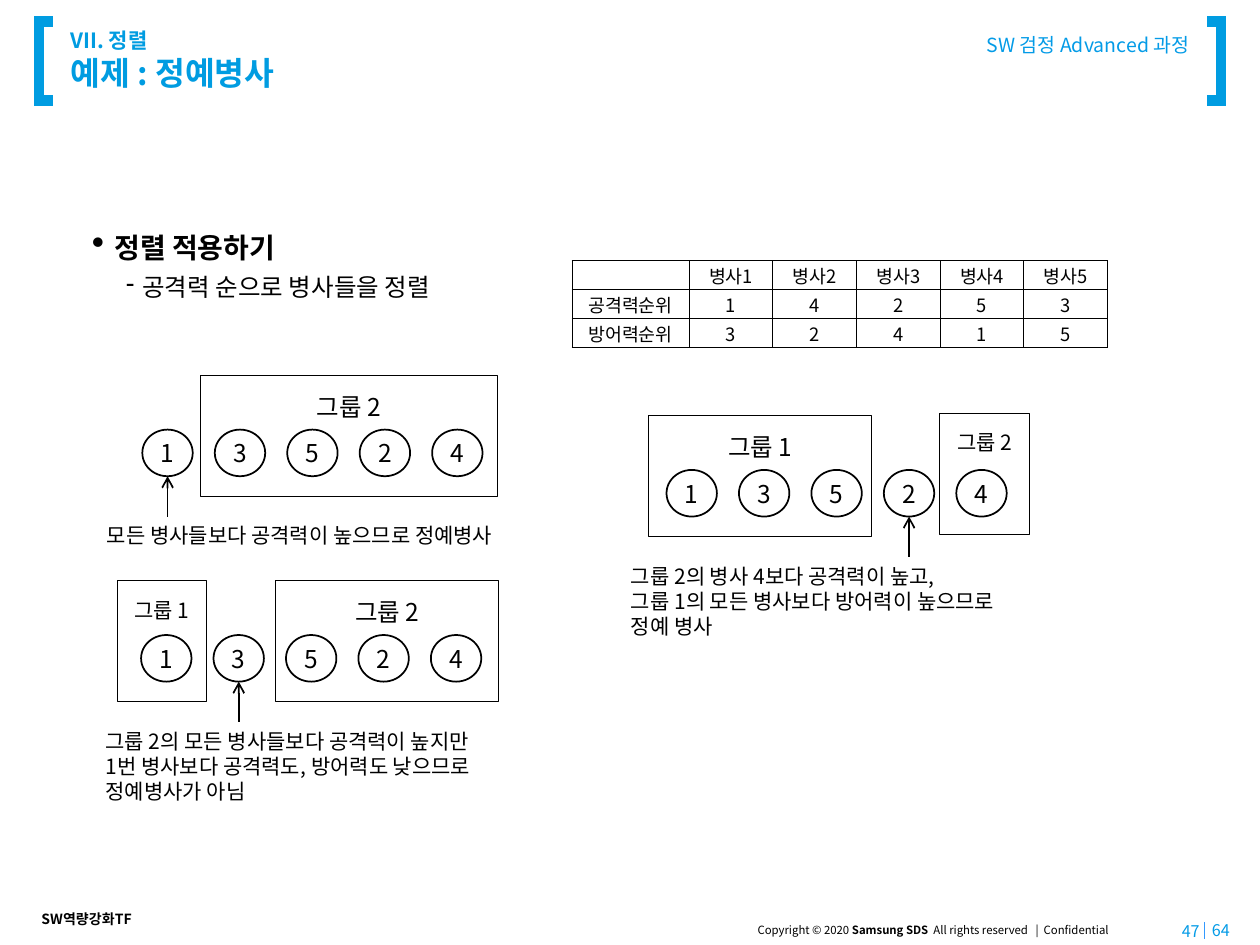
from lxml.etree import SubElement
from pptx import Presentation
from pptx.dml.color import RGBColor
from pptx.enum.shapes import MSO_CONNECTOR, MSO_SHAPE
from pptx.enum.text import MSO_ANCHOR, PP_ALIGN
from pptx.oxml.ns import qn
from pptx.util import Inches, Pt

THEME = {
    "font": "Noto Sans CJK KR",
    "ink": "000000", "paper": "FFFFFF", "brand": "009CE1", "accent": "039BE7", "rule": "3399FF",
    "title": 18.5, "chapter": 12, "course": 11.1, "heading": 16, "detail": 14,
    "table": 10.5, "circle": 14, "note": 12, "team": 8, "legal": 6.5, "number": 9.2,
}
LEFT, CENTER, RIGHT = PP_ALIGN.LEFT, PP_ALIGN.CENTER, PP_ALIGN.RIGHT
TOP, MIDDLE = MSO_ANCHOR.TOP, MSO_ANCHOR.MIDDLE

BRACKETS = [(0.42, 0.31), (9.58, 9.69)]
LABELS = [
    {"at": (6.17, 0.21, 3.27, 0.39), "lines": ["SW 검정 Advanced 과정"], "size": "course",
     "color": "accent", "align": RIGHT, "insets": (0, 0.05, 0, 0.05)},
    {"at": (9.18, 7.29, 0.44, 0.2), "lines": ["47"], "size": "number",
     "color": "accent", "align": RIGHT, "anchor": MIDDLE},
    {"at": (9.52, 7.28, 0.44, 0.2), "lines": ["64"], "size": "number",
     "color": "accent", "anchor": MIDDLE},
    {"at": (0.23, 7.18, 0.95, 0.24), "lines": ["SW역량강화TF"], "size": "team", "bold": True},
]
COPYRIGHT = [("Copyright © 2020 ", False), ("Samsung SDS", True),
             ("  All rights reserved   |  Confidential ", False)]
BULLETS = [
    {"text": "정렬 적용하기", "mark": "•", "scale": 130, "level": 0, "margin": 0.18,
     "hang": 0.18, "size": "heading", "bold": True},
    {"text": "공격력 순으로 병사들을 정렬", "mark": "-", "scale": 100, "level": 1, "margin": 0.4,
     "hang": 0.13, "size": "detail", "bold": False},
]
RANKS = [
    ["", "병사1", "병사2", "병사3", "병사4", "병사5"],
    ["공격력순위", "1", "4", "2", "5", "3"],
    ["방어력순위", "3", "2", "4", "1", "5"],
]
TABLE_WIDTH, NAME_WIDTH, ROW_HEIGHT = 4.25, 0.93, 0.23

SOLDIERS = ["1", "3", "5", "2", "4"]
CIRCLE_WIDTH, CIRCLE_HEIGHT, CIRCLE_STEP = 0.4, 0.37, 2.3 / 4
GROUP_HEIGHT, NOTE_OFFSET = 0.96, 0.69
SCENES = [
    {"circles": (1.13, 3.41), "chosen": 0, "border": 0.75,
     "groups": [("그룹 2", 1.59, 2.98, 2.36, "detail")],
     "note": (0.75, 3.64, 0.3), "lines": ["모든 병사들보다 공격력이 높으므로 정예병사"]},
    {"circles": (1.12, 5.04), "chosen": 1, "border": 0.5,
     "groups": [("그룹 1", 0.93, 4.61, 0.71, "note"), ("그룹 2", 2.19, 4.61, 1.77, "detail")],
     "note": (0.74, 3.53, 0.71),
     "lines": ["그룹 2의 모든 병사들보다 공격력이 높지만",
               "1번 병사보다 공격력도, 방어력도 낮으므로", "정예병사가 아님"]},
    {"circles": (5.29, 3.73), "chosen": 3, "border": 0.5,
     "groups": [("그룹 2", 7.46, 3.28, 0.71, "note"), ("그룹 1", 5.15, 3.3, 1.77, "detail")],
     "note": (4.91, 3.53, 0.71),
     "lines": ["그룹 2의 병사 4보다 공격력이 높고,",
               "그룹 1의 모든 병사보다 방어력이 높으므로", "정예 병사"]},
]


def color(name):
    return RGBColor.from_string(THEME[name])


def inches(values):
    return [Inches(value) for value in values]


def assign(target, values):
    for name, value in values.items():
        setattr(target, name, value)


def add_span(para, text, size, ink="ink", bold=False):
    span = para.add_run()
    span.text = text
    assign(span.font, {"name": THEME["font"], "size": Pt(THEME[size]), "bold": bold})
    span.font.color.rgb = color(ink)
    SubElement(span.font._element, qn("a:ea"), typeface=THEME["font"])


def prepare(frame, insets=(0.1, 0.05, 0.1, 0.05), anchor=TOP):
    names = ("margin_left", "margin_top", "margin_right", "margin_bottom")
    assign(frame, dict(zip(names, inches(insets))))
    assign(frame, {"word_wrap": True, "vertical_anchor": anchor})


def next_para(frame, index, align=LEFT):
    para = frame.add_paragraph() if index else frame.paragraphs[0]
    para.alignment = align
    return para


def write(frame, lines, size, color="ink", bold=False, align=LEFT, **layout):
    prepare(frame, **layout)
    for index, line in enumerate(lines):
        add_span(next_para(frame, index, align), line, size, color, bold)


def add_frame(shapes, at):
    return shapes.add_textbox(*inches(at)).text_frame


def add_figure(shapes, kind, at, border):
    figure = shapes.add_shape(kind, *inches(at))
    figure.shadow.inherit = False
    figure.fill.solid()
    figure.fill.fore_color.rgb = color("paper")
    figure.line.color.rgb = color("ink")
    figure.line.width = Pt(border)
    return figure.text_frame


def add_line(shapes, start, end, ink, width, arrow=False):
    line = shapes.add_connector(MSO_CONNECTOR.STRAIGHT, *inches(start + end))
    line.line.color.rgb = color(ink)
    line.line.width = Pt(width)
    if arrow:
        SubElement(line.line._get_or_add_ln(), qn("a:tailEnd"), type="arrow")
    SubElement(line._element.spPr, qn("a:effectLst"))


def add_bracket(shapes, tip, spine):
    points = [inches(point) for point in ((tip, 0.8), (spine, 0.8), (spine, 0.17), (tip, 0.17))]
    builder = shapes.build_freeform(*points[0])
    builder.add_line_segments(points[1:], close=False)
    bracket = builder.convert_to_shape()
    bracket.shadow.inherit = False
    bracket.fill.background()
    bracket.line.color.rgb = color("brand")
    bracket.line.width = Pt(6)
    SubElement(bracket.line._get_or_add_ln(), qn("a:miter"), lim="800000")


def add_title(shapes):
    frame = add_frame(shapes, (0.56, 0.22, 8.29, 0.51))
    prepare(frame, (0, 0.05, 0.1, 0.05), MIDDLE)
    para = next_para(frame, 0)
    add_span(para, "VII. 정렬", "chapter", "brand", True)
    para.add_line_break()
    add_span(para, "예제 : 정예병사", "title", "brand", True)


def add_bullets(shapes):
    frame = add_frame(shapes, (0.73, 1.78, 8.71, 0.88))
    prepare(frame, (0, 0.05, 0, 0.05))
    for index, item in enumerate(BULLETS):
        para = next_para(frame, index)
        assign(para, {"level": item["level"], "space_after": Pt(4.6)})
        properties = para._p.get_or_add_pPr()
        properties.set("marL", str(Inches(item["margin"])))
        properties.set("indent", str(-Inches(item["hang"])))
        SubElement(properties, qn("a:buSzPct"), val=str(item["scale"] * 1000))
        SubElement(properties, qn("a:buChar"), char=item["mark"])
        add_span(para, item["text"], item["size"], bold=item["bold"])


def add_ranks(shapes):
    count = len(SOLDIERS)
    widths = [NAME_WIDTH] + [(TABLE_WIDTH - NAME_WIDTH) / count] * count
    at = (4.54, 2.07, TABLE_WIDTH, ROW_HEIGHT * len(RANKS))
    table = shapes.add_table(len(RANKS), len(widths), *inches(at)).table
    assign(table, {"first_row": False, "horz_banding": False})
    for column, width in zip(table.columns, widths):
        column.width = Inches(width)
    for row, texts in zip(table.rows, RANKS):
        row.height = Inches(ROW_HEIGHT)
        for cell, text in zip(row.cells, texts):
            assign(cell, {"margin_left": Inches(0.07), "margin_right": Inches(0.07),
                          "margin_top": 0, "margin_bottom": 0, "vertical_anchor": MIDDLE})
            para = cell.text_frame.paragraphs[0]
            para.alignment = CENTER
            if text:
                add_span(para, text, "table")
            else:
                para.font.size = Pt(THEME["table"])
            properties = cell._tc.get_or_add_tcPr()
            for side in ("lnL", "lnR", "lnT", "lnB"):
                edge = SubElement(properties, qn("a:" + side), w=str(Pt(0.5)))
                fill = SubElement(edge, qn("a:solidFill"))
                SubElement(fill, qn("a:srgbClr"), val=THEME["ink"])
            cell.fill.background()


def add_scene(page, scene):
    shapes = page.shapes.add_group_shape().shapes
    left, top = scene["circles"]
    for label, group_left, group_top, width, size in scene["groups"]:
        at = (group_left, group_top, width, GROUP_HEIGHT)
        frame = add_figure(shapes, MSO_SHAPE.RECTANGLE, at, scene["border"])
        write(frame, [label], size, align=CENTER, insets=(0.1, 0.13, 0.1, 0.05))
    for index, soldier in enumerate(SOLDIERS):
        at = (left + index * CIRCLE_STEP, top, CIRCLE_WIDTH, CIRCLE_HEIGHT)
        frame = add_figure(shapes, MSO_SHAPE.OVAL, at, 1)
        write(frame, [soldier], "circle", align=CENTER, insets=(0, 0, 0, 0), anchor=MIDDLE)
    middle = left + scene["chosen"] * CIRCLE_STEP + CIRCLE_WIDTH / 2
    note_top = top + NOTE_OFFSET
    add_line(shapes, (middle, note_top), (middle, top + CIRCLE_HEIGHT), "ink", 1, arrow=True)
    note_left, width, height = scene["note"]
    write(add_frame(shapes, (note_left, note_top, width, height)), scene["lines"], "note")


def main():
    deck = Presentation()
    assign(deck, {"slide_width": Inches(10), "slide_height": Inches(7.5)})
    page = deck.slides.add_slide(deck.slide_layouts[6])
    for tip, spine in BRACKETS:
        add_bracket(page.shapes, tip, spine)
    legal = add_frame(page.shapes, (5.29, 7.28, 3.63, 0.21))
    prepare(legal, (0, 0.05, 0.1, 0.05))
    para = next_para(legal, 0, RIGHT)
    for text, bold in COPYRIGHT:
        add_span(para, text, "legal", bold=bold)
    add_line(page.shapes, (9.56, 7.32), (9.56, 7.45), "rule", 0.75)
    for label in LABELS:
        style = {name: value for name, value in label.items() if name != "at"}
        write(add_frame(page.shapes, label["at"]), **style)
    add_title(page.shapes)
    add_bullets(page.shapes)
    add_ranks(page.shapes)
    for scene in SCENES:
        add_scene(page, scene)
    deck.save("out.pptx")


if __name__ == "__main__":
    main()
